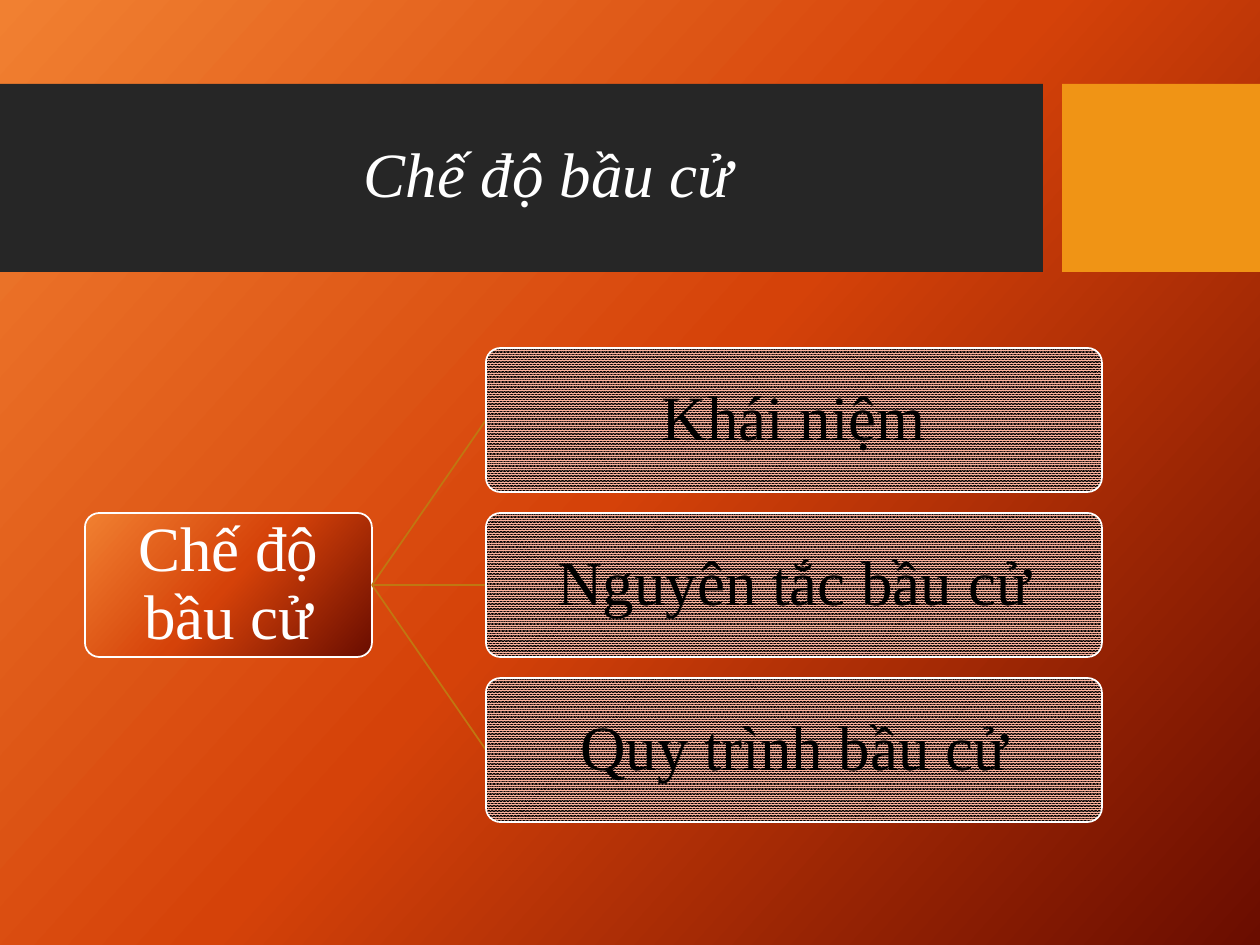
"""Build the election system slide: a title band and a three-branch diagram."""
from copy import deepcopy
from dataclasses import dataclass

from lxml.etree import SubElement
from pptx import Presentation
from pptx.dml.color import RGBColor
from pptx.enum.dml import MSO_PATTERN
from pptx.enum.shapes import MSO_CONNECTOR, MSO_SHAPE
from pptx.enum.text import MSO_ANCHOR, MSO_AUTO_SIZE, PP_ALIGN
from pptx.oxml.ns import qn
from pptx.util import Emu, Pt


@dataclass(frozen=True)
class Theme:
    font: str = "Times New Roman"
    size: int = 36
    line_width: int = 1
    white: RGBColor = RGBColor.from_string("FFFFFF")
    black: RGBColor = RGBColor.from_string("000000")
    band: RGBColor = RGBColor.from_string("262626")
    accent: RGBColor = RGBColor.from_string("F09415")
    branch: RGBColor = RGBColor.from_string("C07711")
    pattern: RGBColor = RGBColor.from_string("FCB29D")
    gradient: tuple = ((0, "F18031"), (0.5, "D54209"), (1, "6A0D00"))
    gradient_angle: int = 42


theme = Theme()
PX = 914400 / 126


def apply_gradient(fill, element):
    fill.gradient()
    fill.gradient_angle = 360 - theme.gradient_angle
    stop_list = element.find(".//" + qn("a:gsLst"))
    stop_list.insert(1, deepcopy(stop_list[0]))
    for stop, (position, color) in zip(fill.gradient_stops, theme.gradient):
        stop.position = position
        stop.color.rgb = RGBColor.from_string(color)


def write_text(shape, text, color=theme.white, italic=False, inset=9):
    frame = shape.text_frame
    frame.word_wrap = True
    frame.auto_size = MSO_AUTO_SIZE.NONE
    frame.vertical_anchor = MSO_ANCHOR.MIDDLE
    frame.margin_left = frame.margin_right = Emu(round(inset * PX))
    frame.margin_top = frame.margin_bottom = Emu(round(inset * PX))
    para = frame.paragraphs[0]
    para.alignment = PP_ALIGN.CENTER
    para.line_spacing = 0.9
    span = para.add_run()
    span.text = text
    span.font.name = theme.font
    span.font.size = Pt(theme.size)
    span.font.italic = italic
    span.font.color.rgb = color


deck = Presentation()
deck.slide_width, deck.slide_height = Emu(round(1260 * PX)), Emu(round(945 * PX))
page = deck.slides.add_slide(deck.slide_layouts[5])
apply_gradient(page.background.fill, page.element)

for left, width, color in ((0, 1043, theme.band), (1062, 198, theme.accent)):
    bar = page.shapes.add_shape(
        MSO_SHAPE.RECTANGLE, *(Emu(round(n * PX)) for n in (left, 84, width, 188)))
    bar.shadow.inherit = False
    bar.fill.solid()
    bar.fill.fore_color.rgb = color
    bar.line.fill.background()

title = page.shapes.title
title.left, title.top, title.width, title.height = (
    Emu(round(n * PX)) for n in (73, 103, 950, 149))
write_text(title, "Chế độ bầu cử", italic=True)
page.shapes.element.append(title.element)

root_left, root_width = 85, 287
topic_left, topic_width = 486, 616
box_height, first_top, pitch = 144, 348, 165
root_top = first_top + pitch
topics = ("Khái niệm", "Nguyên tắc bầu cử", "Quy trình bầu cử")
boxes = [(root_left, root_top, root_width, "Chế độ bầu cử")]
boxes += [(topic_left, first_top + row * pitch, topic_width, topic)
          for row, topic in enumerate(topics)]

for left, top, width, text in boxes:
    is_root = left == root_left
    if not is_root:
        ends = (root_left + root_width, root_top + box_height / 2,
                left, top + box_height / 2)
        branch = page.shapes.add_connector(
            MSO_CONNECTOR.STRAIGHT, *(Emu(round(n * PX)) for n in ends))
        branch.line.color.rgb = theme.branch
        branch.line.width = Pt(theme.line_width)
        SubElement(branch.element.spPr, qn("a:effectLst"))
    box = page.shapes.add_shape(
        MSO_SHAPE.ROUNDED_RECTANGLE,
        *(Emu(round(n * PX)) for n in (left, top, width, box_height)))
    box.adjustments[0] = 0.1
    box.shadow.inherit = False
    box.line.color.rgb = theme.white
    box.line.width = Pt(theme.line_width)
    if is_root:
        apply_gradient(box.fill, box.element)
    else:
        box.fill.patterned()
        box.fill.pattern = MSO_PATTERN.PERCENT_90
        box.fill.fore_color.rgb = theme.pattern
        box.fill.back_color.rgb = theme.black
    write_text(box, text, color=theme.white if is_root else theme.black)

deck.save("out.pptx")
